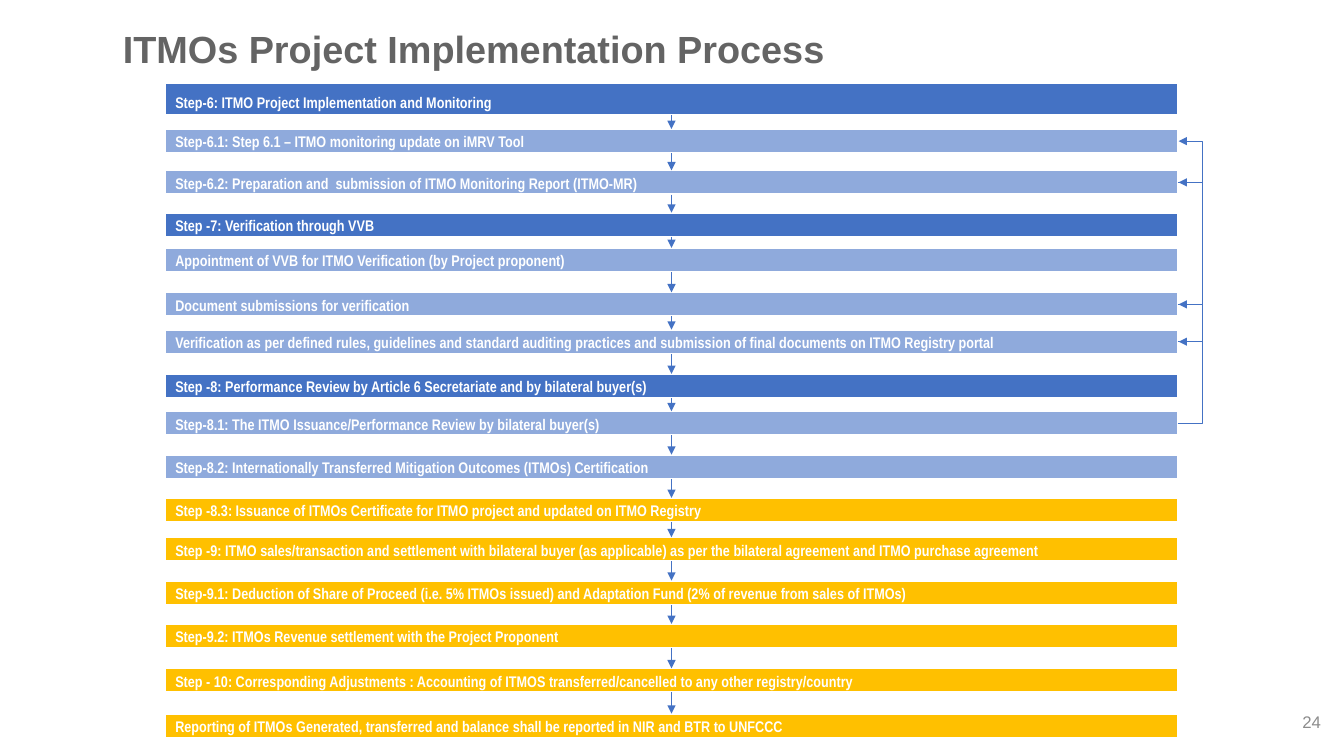
from dataclasses import dataclass
from itertools import pairwise

from lxml import etree
from pptx import Presentation
from pptx.dml.color import RGBColor
from pptx.enum import shapes, text
from pptx.oxml import ns
from pptx.util import Inches, Pt


@dataclass(frozen=True)
class Theme:
    stage: str = "4472C4"
    step: str = "8FAADC"
    market: str = "FFC000"
    white: str = "FFFFFF"
    title: str = "646464"
    number: str = "8C8C8C"
    font: str = "Arial"
    narrow: str = "Arial Narrow"
    title_size: float = 27
    bar_size: float = 11
    number_size: float = 12
    outline: float = 1.5
    arrow: float = 0.5


@dataclass(frozen=True)
class Bar:
    top: float
    fill: str
    label: str
    height: float = 0.24
    inset_top: float = 0

    @property
    def middle(self) -> float:
        return self.top + self.height / 2


T = Theme()
BAR_LEFT, BAR_WIDTH = 1.64, 10.04
BAR_RIGHT = BAR_LEFT + BAR_WIDTH
TIP_SHIFT, LOOP_REACH = 0.01, 0.25
BOTTOM_SITE, TOP_SITE = 2, 0

BARS = [
    Bar(0.82, T.stage, "Step-6: ITMO Project Implementation and Monitoring", 0.32, 0.06),
    Bar(1.28, T.step, "Step-6.1: Step 6.1 – ITMO monitoring update on iMRV Tool"),
    Bar(1.69, T.step, "Step-6.2: Preparation and  submission of ITMO Monitoring Report (ITMO-MR)"),
    Bar(2.11, T.stage, "Step -7: Verification through VVB"),
    Bar(2.46, T.step, "Appointment of VVB for ITMO Verification (by Project proponent)"),
    Bar(2.90, T.step, "Document submissions for verification"),
    Bar(3.27, T.step, "Verification as per defined rules, guidelines and standard auditing practices "
        "and submission of final documents on ITMO Registry portal"),
    Bar(3.71, T.stage, "Step -8: Performance Review by Article 6 Secretariate and by bilateral buyer(s)"),
    Bar(4.08, T.step, "Step-8.1: The ITMO Issuance/Performance Review by bilateral buyer(s)"),
    Bar(4.51, T.step, "Step-8.2: Internationally Transferred Mitigation Outcomes (ITMOs) Certification"),
    Bar(4.94, T.market, "Step -8.3: Issuance of ITMOs Certificate for ITMO project and updated on ITMO Registry"),
    Bar(5.33, T.market, "Step -9: ITMO sales/transaction and settlement with bilateral buyer (as applicable) "
        "as per the bilateral agreement and ITMO purchase agreement"),
    Bar(5.76, T.market, "Step-9.1: Deduction of Share of Proceed (i.e. 5% ITMOs issued) "
        "and Adaptation Fund (2% of revenue from sales of ITMOs)"),
    Bar(6.19, T.market, "Step-9.2: ITMOs Revenue settlement with the Project Proponent"),
    Bar(6.63, T.market, "Step - 10: Corresponding Adjustments : Accounting of ITMOS "
        "transferred/cancelled to any other registry/country"),
    Bar(7.08, T.market, "Reporting of ITMOs Generated, transferred and balance "
        "shall be reported in NIR and BTR to UNFCCC"),
]
REVIEW_LOOP = [8, 6, 5, 2, 1]


def write(sp, label: str, font: str, size: float, color: str, bold: bool,
          align=text.PP_ALIGN.LEFT, spacing: float = 1):
    tf = sp.text_frame
    tf.word_wrap = True
    tf.vertical_anchor = text.MSO_ANCHOR.MIDDLE
    p = tf.paragraphs[0]
    p.alignment = align
    p.line_spacing = spacing
    r = p.add_run()
    r.text = label
    r.font.name = font
    r.font.size = Pt(size)
    r.font.bold = bold
    r.font.color.rgb = RGBColor.from_string(color)


def add_bar(s, bar: Bar):
    sp = s.shapes.add_shape(shapes.MSO_SHAPE.RECTANGLE, Inches(BAR_LEFT), Inches(bar.top),
                            Inches(BAR_WIDTH), Inches(bar.height))
    sp.shadow.inherit = False
    sp.fill.solid()
    sp.fill.fore_color.rgb = RGBColor.from_string(bar.fill)
    sp.line.color.rgb = RGBColor.from_string(T.white)
    sp.line.width = Pt(T.outline)
    write(sp, bar.label, T.narrow, T.bar_size, T.white, True, spacing=1.07)
    sp.text_frame.margin_top = Inches(bar.inset_top)
    sp.text_frame.margin_bottom = 0
    return sp


def add_arrow(s, kind, x1: float, y1: float, x2: float, y2: float):
    cx = s.shapes.add_connector(kind, Inches(x1), Inches(y1), Inches(x2), Inches(y2))
    cx.line.color.rgb = RGBColor.from_string(T.stage)
    cx.line.width = Pt(T.arrow)
    etree.SubElement(cx.line._get_or_add_ln(), ns.qn("a:tailEnd"), type="triangle")
    etree.SubElement(cx._element.spPr, ns.qn("a:effectLst"))
    return cx


def add_loop(s, start: Bar, end: Bar):
    cx = add_arrow(s, shapes.MSO_CONNECTOR.ELBOW, BAR_RIGHT, start.middle,
                   BAR_RIGHT + TIP_SHIFT, end.middle)
    guides = cx._element.spPr.find(ns.qn("a:prstGeom")).get_or_add_avLst()
    bend = round(LOOP_REACH / TIP_SHIFT * 100000)
    etree.SubElement(guides, ns.qn("a:gd"), name="adj1", fmla=f"val {bend}")


def add_text(s, left: float, top: float, width: float, height: float, *args, **kwargs):
    sp = s.shapes.add_textbox(Inches(left), Inches(top), Inches(width), Inches(height))
    write(sp, *args, **kwargs)


prs = Presentation()
prs.slide_width, prs.slide_height = Inches(13.33), Inches(7.5)
s = prs.slides.add_slide(prs.slide_layouts[6])

add_text(s, 1.12, 0.27, 11.86, 0.48, "ITMOs Project Implementation Process",
         T.font, T.title_size, T.title, True, spacing=0.85)
add_text(s, 9.42, 6.95, 3.78, 0.43, "24", T.font, T.number_size, T.number, False,
         align=text.PP_ALIGN.RIGHT)

drawn = [add_bar(s, bar) for bar in BARS]
center = BAR_LEFT + BAR_WIDTH / 2
for (upper, lower), (upper_sp, lower_sp) in zip(pairwise(BARS), pairwise(drawn)):
    cx = add_arrow(s, shapes.MSO_CONNECTOR.STRAIGHT, center, upper.top + upper.height,
                   center, lower.top)
    cx.begin_connect(upper_sp, BOTTOM_SITE)
    cx.end_connect(lower_sp, TOP_SITE)
for start, end in pairwise(REVIEW_LOOP):
    add_loop(s, BARS[start], BARS[end])

prs.save("out.pptx")
